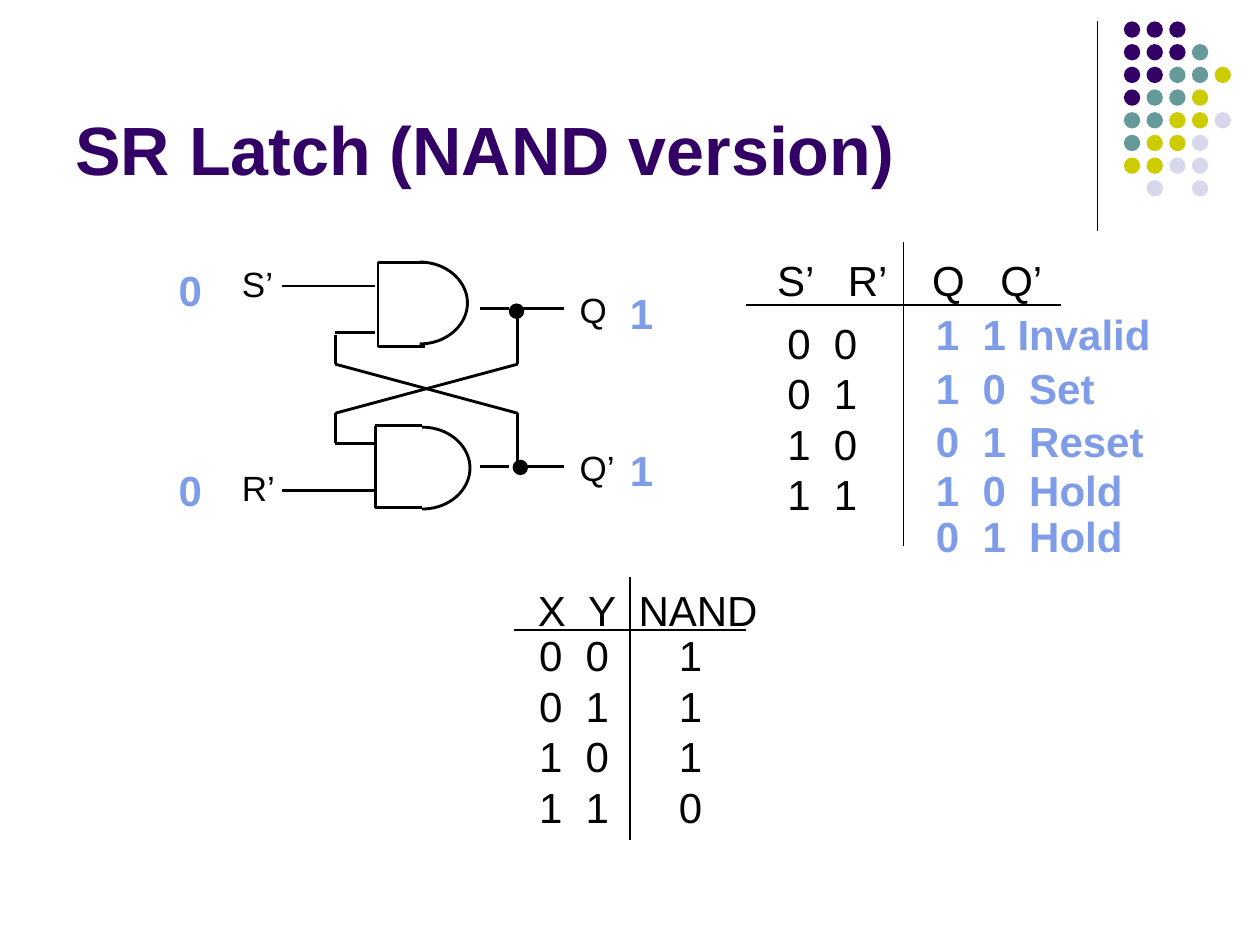
import math

from lxml import etree
from pptx import Presentation
from pptx.dml.color import RGBColor
from pptx.enum import shapes, text
from pptx.oxml import ns
from pptx.util import Inches, Pt

COLORS = {
    "ink": "000000",
    "purple": "330066",
    "teal": "669999",
    "lime": "CCCC00",
    "mist": "D8D8EC",
    "answer": "7E9CE8",
}
DOT_COLORS = {"P": "purple", "T": "teal", "Y": "lime", "L": "mist"}
DOT_ROWS = ["PPP", "PPPT", "PPTTY", "PTTY", "TTYYL", "TYYL", "YYLL", " L L"]
WIRE = 1.63
RULE = 0.75


def color(name):
    return RGBColor.from_string(COLORS[name])


def format_paragraph(para, content, size=24, fill="ink", bold=False, tabs=()):
    span = para.add_run()
    span.text = content
    span.font.name = "Arial"
    span.font.size = Pt(size)
    span.font.bold = bold
    span.font.color.rgb = color(fill)
    if tabs:
        stops = etree.SubElement(para._p.get_or_add_pPr(), ns.qn("a:tabLst"))
        for stop in tabs:
            etree.SubElement(stops, ns.qn("a:tab"), pos=str(Inches(stop)), algn="l")


class SlideBuilder:
    def __init__(self, page):
        self.page = page

    def label(self, content, left, top, width, height=0.5, inset=True, bottom=False, **style):
        box = self.page.shapes.add_textbox(*map(Inches, (left, top, width, height)))
        frame = box.text_frame
        frame.word_wrap = "\t" in content
        if not inset:
            frame.margin_left = frame.margin_right = 0
            frame.margin_top = frame.margin_bottom = 0
        if bottom:
            frame.vertical_anchor = text.MSO_ANCHOR.BOTTOM
        for index, row in enumerate(content.split("\n")):
            para = frame.add_paragraph() if index else frame.paragraphs[0]
            format_paragraph(para, row, **style)

    def line(self, x1, y1, x2, y2, weight=WIRE):
        line = self.page.shapes.add_connector(
            shapes.MSO_CONNECTOR.STRAIGHT, *map(Inches, (x1, y1, x2, y2))
        )
        line.line.color.rgb = color("ink")
        line.line.width = Pt(weight)
        etree.SubElement(line._element.spPr, ns.qn("a:effectLst"))

    def dot(self, left, top, size, fill, outlined=False):
        dot = self.page.shapes.add_shape(
            shapes.MSO_SHAPE.OVAL, *map(Inches, (left, top, size, size))
        )
        dot.shadow.inherit = False
        dot.fill.solid()
        dot.fill.fore_color.rgb = color(fill)
        if outlined:
            dot.line.color.rgb = color(fill)
            dot.line.width = Pt(WIRE)
        else:
            dot.line.fill.background()

    def arc(self, left, top, width, height, steps=40):
        radius = height / 2
        angles = [math.pi * (step / steps - 0.5) for step in range(steps + 1)]
        points = [
            (Inches(left + width * math.cos(a)), Inches(top + radius + radius * math.sin(a)))
            for a in angles
        ]
        builder = self.page.shapes.build_freeform(*points[0])
        builder.add_line_segments(points[1:], close=False)
        arc = builder.convert_to_shape()
        arc.shadow.inherit = False
        arc.fill.background()
        arc.line.color.rgb = color("ink")
        arc.line.width = Pt(WIRE)

    def gate(self, left, top, bottom, arc_left, arc_top):
        self.line(left + 0.37, top, left, top)
        self.line(left, top, left, bottom)
        self.line(left, bottom, left + 0.37, bottom)
        self.arc(arc_left, arc_top, 0.38, 0.65)


def draw_corner(slide):
    slide.line(8.71, 0.17, 8.71, 1.83, RULE)
    for row, pattern in enumerate(DOT_ROWS):
        for column, key in enumerate(pattern):
            if key in DOT_COLORS:
                slide.dot(8.92 + 0.18 * column, 0.17 + 0.18 * row, 0.13, DOT_COLORS[key])


def draw_latch(slide):
    for name, left, top in [
        ("S’", 1.92, 2.08), ("R’", 1.92, 3.7), ("Q", 4.6, 2.29), ("Q’", 4.6, 3.54)
    ]:
        slide.label(name, left, top, 0.28, 0.34, inset=False, size=20)
    slide.gate(3, 2.08, 2.75, 3.33, 2.08)
    slide.gate(2.98, 3.38, 4.03, 3.35, 3.39)
    for y in (2.27, 2.64, 3.52, 3.89):
        slide.line(2.66, y, 2.98, y)
    for y in (2.27, 3.89):
        slide.line(2.24, y, 2.66, y)
    for y in (2.45, 3.7):
        slide.line(3.81, y, 4.04, y)
        slide.line(4.07, y, 4.48, y)
    for x, upper, lower in [(2.66, 2.66, 3.52), (4.11, 2.48, 3.7)]:
        slide.line(x, upper, x, 2.89)
        slide.line(x, 3.28, x, lower)
    slide.line(2.66, 2.89, 4.11, 3.28)
    slide.line(2.66, 3.28, 4.11, 2.89)
    slide.dot(4.05, 2.42, 0.1, "ink", outlined=True)
    slide.dot(4.08, 3.66, 0.1, "ink", outlined=True)
    for value, left, top in [
        ("0", 1.32, 2.05), ("0", 1.32, 3.64), ("1", 4.9, 2.23), ("1", 4.9, 3.48)
    ]:
        slide.label(value, left, top, 0.39, fill="answer", bold=True)


def draw_latch_table(slide):
    slide.label("S’\tR’\tQ\tQ’", 6.07, 1.97, 2.32, tabs=(0.56, 1.23, 1.77))
    slide.label("0\t0\n0\t1\n1\t0\n1\t1", 6.15, 2.47, 0.8, 1.72, tabs=(0.37,))
    slide.line(5.92, 2.42, 8.42, 2.42, RULE)
    slide.line(7.17, 1.92, 7.17, 4.33, RULE)
    for outcome, top, width in [
        ("1\t1 Invalid", 2.4, 1.95),
        ("1\t0\tSet", 2.83, 1.47),
        ("0\t1\tReset", 3.25, 1.87),
        ("1\t0\tHold", 3.64, 1.7),
        ("0\t1\tHold", 4, 1.7),
    ]:
        slide.label(outcome, 7.33, top, width, fill="answer", bold=True, tabs=(0.37, 0.74))


def draw_nand_table(slide):
    slide.label("X\tY\tNAND", 4.17, 4.59, 1.97, tabs=(0.4, 0.8))
    rows = "0\t0\t1\n0\t1\t1\n1\t0\t1\n1\t1\t0"
    slide.label(rows, 4.18, 4.95, 1.51, 1.72, tabs=(0.37, 1.11))
    slide.line(4.08, 5, 5.92, 5, RULE)
    slide.line(5, 4.58, 5, 6.67, RULE)


def main():
    deck = Presentation()
    deck.slide_width = Inches(10)
    deck.slide_height = Inches(7.5)
    slide = SlideBuilder(deck.slides.add_slide(deck.slide_layouts[6]))
    draw_corner(slide)
    slide.label("SR Latch (NAND version)", 0.5, 0.13, 8.25, 1.42, bottom=True,
                size=39, fill="purple", bold=True)
    draw_latch(slide)
    draw_latch_table(slide)
    draw_nand_table(slide)
    deck.save("out.pptx")


if __name__ == "__main__":
    main()
